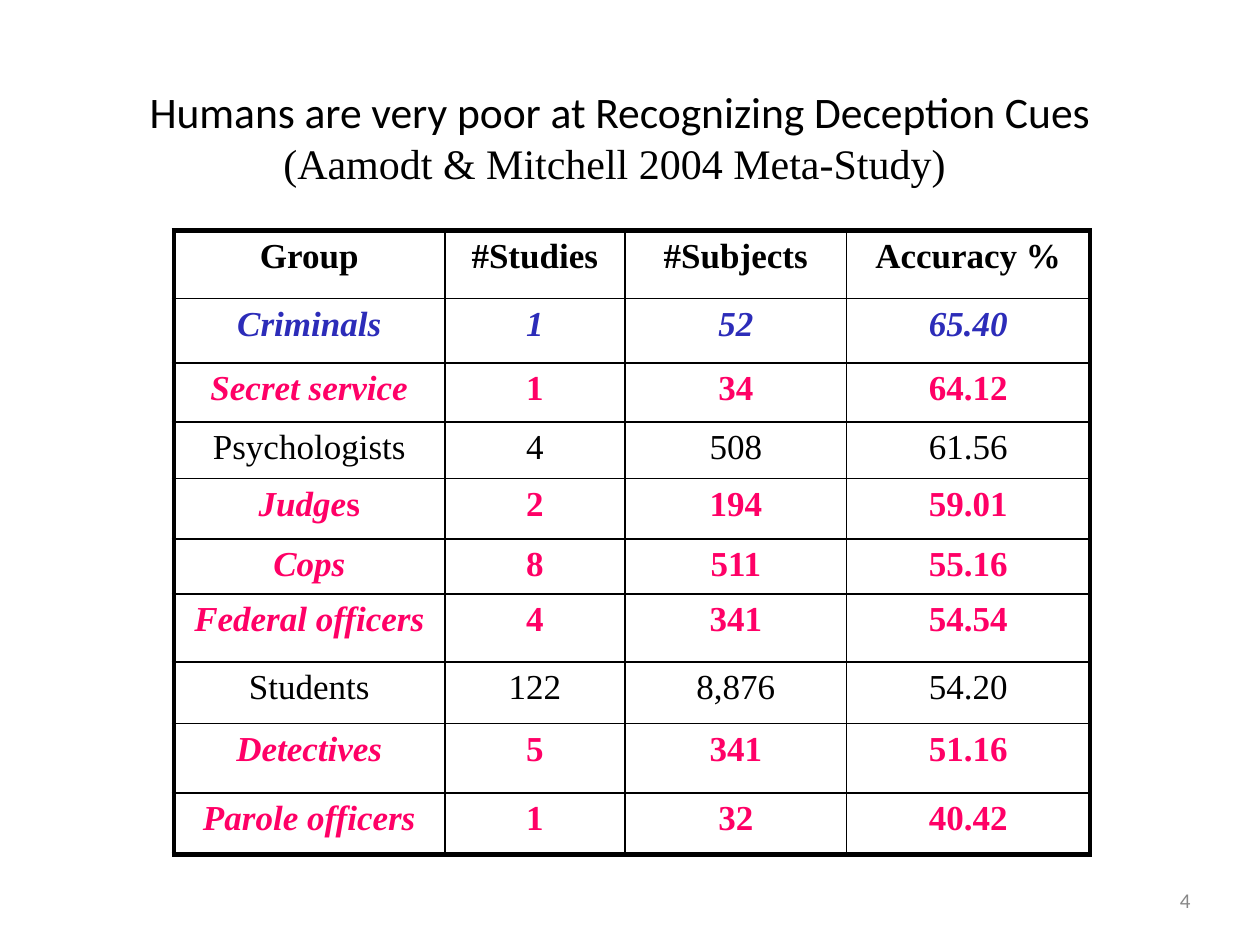
import pptx
import pptx.util
import pptx.dml.color
import pptx.enum.text
from lxml import etree
from pptx.util import Inches

BLACK, BLUE, PINK, GRAY = "000000", "2C2CB9", "FF0066", "888888"
SERIF, SANS = "Times New Roman", "Calibri"

TITLE = [
    ("Humans are very poor at Recognizing Deception Cues ", 24.9, SANS),
    ("(Aamodt & Mitchell 2004 Meta-Study) ", 24, SERIF),
]
# style: colour, bold, italic name, italic numbers
STYLES = {
    "header": (BLACK, True, False, False),
    "top": (BLUE, True, True, True),
    "officer": (PINK, True, True, False),
    "plain": (BLACK, False, False, False),
}
# style, row height, cells
ROWS = [
    ("header", 0.54, ["Group", "#Studies", "#Subjects", "Accuracy %"]),
    ("top", 0.51, ["Criminals", "1", "52", "65.40"]),
    ("officer", 0.47, ["Secret service", "1", "34", "64.12"]),
    ("plain", 0.45, ["Psychologists", "4", "508", "61.56"]),
    ("officer", 0.48, ["Judges", "2", "194", "59.01"]),
    ("officer", 0.43, ["Cops", "8", "511", "55.16"]),
    ("officer", 0.54, ["Federal officers", "4", "341", "54.54"]),
    ("plain", 0.49, ["Students", "122", "8,876", "54.20"]),
    ("officer", 0.55, ["Detectives", "5", "341", "51.16"]),
    ("officer", 0.49, ["Parole officers", "1", "32", "40.42"]),
]
COL_WIDTHS = [2.15, 1.43, 1.76, 1.93]
UPRIGHT_ENDING = {"Judges": "s"}
INSET = Inches(0.05)


def rgb(color):
    return pptx.dml.color.RGBColor.from_string(color)


def add_run(p, text, size, font, color, bold=False, italic=False):
    r = p.add_run()
    r.text = text
    r.font.size = pptx.util.Pt(size)
    r.font.name = font
    r.font.bold = bold
    r.font.italic = italic
    r.font.color.rgb = rgb(color)


def add_text(slide, box, runs, align, wrap=True):
    sp = slide.shapes.add_textbox(*map(Inches, box))
    tf = sp.text_frame
    tf.word_wrap = wrap
    tf.vertical_anchor = pptx.enum.text.MSO_ANCHOR.MIDDLE
    tf.margin_left = tf.margin_right = tf.margin_top = tf.margin_bottom = INSET
    p = tf.paragraphs[0]
    p.alignment = align
    for run in runs:
        add_run(p, *run)


def set_borders(cell, widths):
    """Draw black cell borders; widths are points for left, right, top, bottom."""
    tc_pr = cell._tc.get_or_add_tcPr()
    ns = "{http://schemas.openxmlformats.org/drawingml/2006/main}"
    for i, (side, width) in enumerate(zip("LRTB", widths)):
        ln = etree.Element(f"{ns}ln{side}", w=str(pptx.util.Pt(width)))
        fill = etree.SubElement(ln, f"{ns}solidFill")
        etree.SubElement(fill, f"{ns}srgbClr", val=BLACK)
        tc_pr.insert(i, ln)


def fill_cell(cell, text, color, bold, italic):
    cell.fill.background()
    cell.margin_left = cell.margin_right = INSET
    cell.margin_top = cell.margin_bottom = INSET
    p = cell.text_frame.paragraphs[0]
    p.alignment = pptx.enum.text.PP_ALIGN.CENTER
    ending = UPRIGHT_ENDING.get(text, "")
    add_run(p, text.removesuffix(ending), 20, SERIF, color, bold, italic)
    if ending:
        add_run(p, ending, 20, SERIF, color, bold)


def add_accuracy_table(slide):
    heights = [height for _, height, _ in ROWS]
    frame = slide.shapes.add_table(
        len(ROWS), len(COL_WIDTHS), Inches(1.38), Inches(1.83),
        Inches(sum(COL_WIDTHS)), Inches(sum(heights)))
    table = frame.table
    table.first_row = table.horz_banding = False
    for column, width in zip(table.columns, COL_WIDTHS):
        column.width = Inches(width)
    last_row, last_col = len(ROWS) - 1, len(COL_WIDTHS) - 1
    for i, (style, height, texts) in enumerate(ROWS):
        table.rows[i].height = Inches(height)
        color, bold, name_italic, number_italic = STYLES[style]
        for j, text in enumerate(texts):
            cell = table.cell(i, j)
            fill_cell(cell, text, color, bold, number_italic if j else name_italic)
            outer = (j == 0, j == last_col, i == 0, i == last_row)
            set_borders(cell, [3 if edge else 1 for edge in outer])


def main():
    prs = pptx.Presentation()
    prs.slide_width, prs.slide_height = Inches(10), Inches(7.5)
    slide = prs.slides.add_slide(prs.slide_layouts[6])
    align = pptx.enum.text.PP_ALIGN
    add_text(slide, (0.67, 0.64, 8.5, 0.88),
             [(*run, BLACK) for run in TITLE], align.CENTER)
    add_accuracy_table(slide)
    add_text(slide, (9.3, 7, 0.2, 0.29), [("4", 12, SANS, GRAY)],
             align.RIGHT, wrap=False)
    prs.save("out.pptx")


if __name__ == "__main__":
    main()
